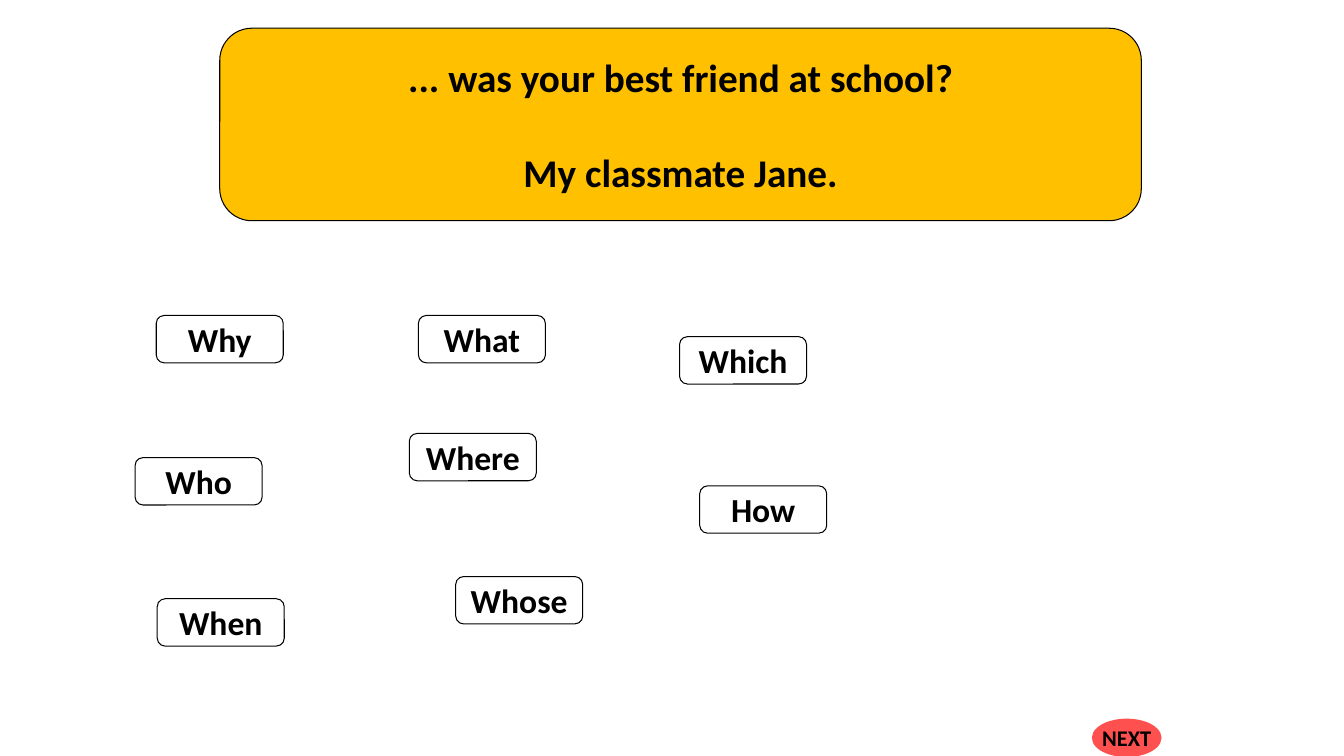
from pptx import Presentation
from pptx.dml.color import RGBColor
from pptx.enum.shapes import MSO_SHAPE as Shape
from pptx.enum.text import MSO_ANCHOR as Anchor, PP_ALIGN as Align
from pptx.util import Inches, Pt


def color(value):
    """Turn a hex string into a colour."""
    return RGBColor.from_string(value)


class QuizSlide:
    """Hold the quiz style and the slide being built."""

    font_name = "Calibri"
    ink = "000000"

    def __init__(self, slide):
        """Keep the slide to draw on."""
        self.slide = slide

    def button(self, kind, box, lines, size, fill, line, line_width=0.75, gap=0):
        """Add a filled shape with centred bold lines of text."""
        button = self.slide.shapes.add_shape(kind, *map(Inches, box))
        button.shadow.inherit = False
        button.fill.solid()
        button.fill.fore_color.rgb = color(fill)
        button.line.color.rgb = color(line)
        button.line.width = Pt(line_width)
        frame = button.text_frame
        frame.word_wrap = False
        frame.vertical_anchor = Anchor.MIDDLE
        frame.text = "\n".join(lines)
        for index, paragraph in enumerate(frame.paragraphs):
            paragraph.alignment = Align.CENTER
            if index and gap:
                paragraph.space_before = Pt(gap)
            paragraph.font.name = self.font_name
            paragraph.font.size = Pt(size)
            paragraph.font.bold = True
            paragraph.font.color.rgb = color(self.ink)

    def question(self, lines):
        """Add the question panel."""
        self.button(Shape.ROUNDED_RECTANGLE, (2.18, 0.28, 9.14, 1.91), lines,
                    28, "FFC000", self.ink, gap=34)

    def answer(self, word, left, top):
        """Add one answer button."""
        self.button(Shape.ROUNDED_RECTANGLE, (left, top, 1.26, 0.47), [word],
                    24, "FFFFFF", self.ink)

    def next_button(self):
        """Add the button that leads on."""
        self.button(Shape.OVAL, (10.84, 7.14, 0.67, 0.36), ["NEXT"],
                    16, "FF5050", "FF5050", line_width=1.5)


def main():
    """Build the quiz slide and save it."""
    deck = Presentation()
    deck.slide_width, deck.slide_height = Inches(13.33), Inches(7.5)
    quiz = QuizSlide(deck.slides.add_slide(deck.slide_layouts[6]))
    quiz.question(["... was your best friend at school?", "My classmate Jane."])
    answers = [
        ("Why", 1.55, 3.13), ("What", 4.15, 3.13), ("Which", 6.74, 3.34),
        ("Who", 1.34, 4.54), ("Where", 4.06, 4.3), ("How", 6.94, 4.82),
        ("When", 1.56, 5.94), ("Whose", 4.52, 5.72),
    ]
    for word, left, top in answers:
        quiz.answer(word, left, top)
    quiz.next_button()
    deck.save("out.pptx")


if __name__ == "__main__":
    main()
